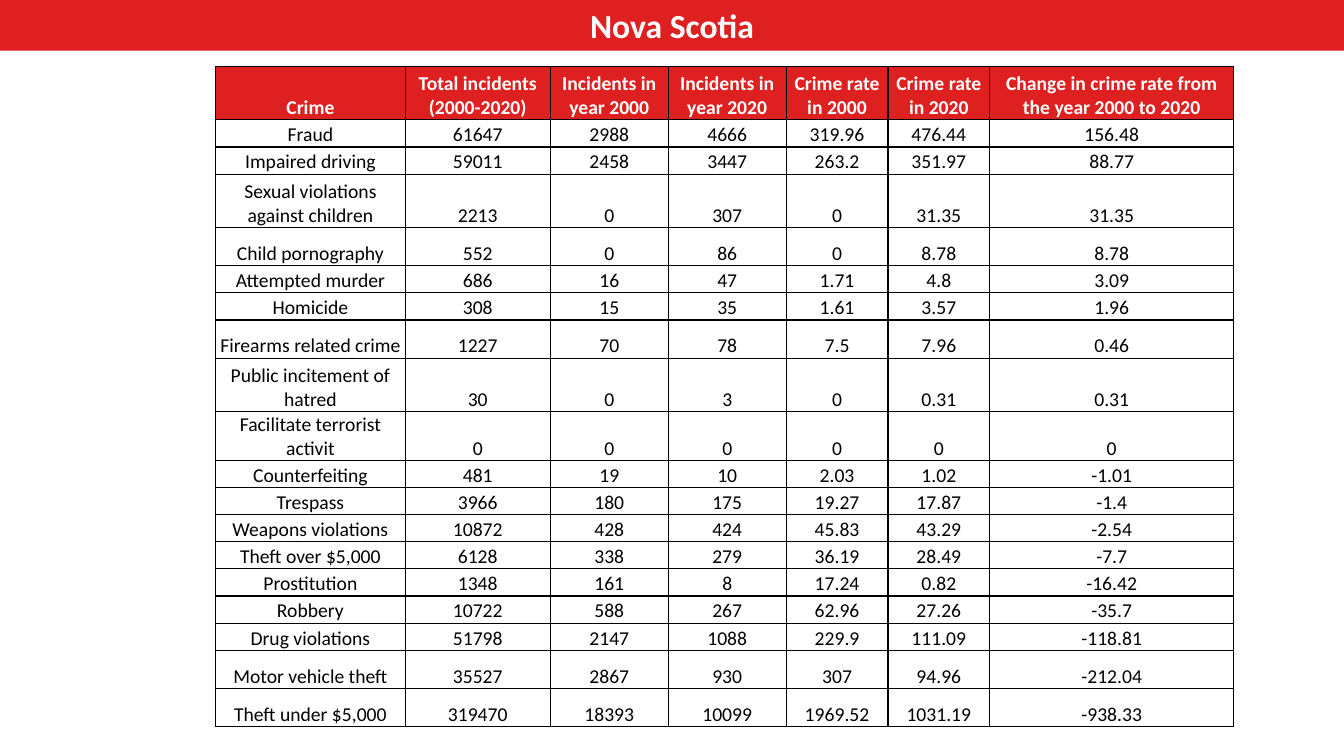
from pptx import Presentation
from pptx import util as u
from pptx.dml.color import RGBColor
from pptx.enum import text
from pptx.oxml import parse_xml
from pptx.oxml.ns import nsdecls

RED = RGBColor(0xDF, 0x20, 0x20)
WHITE = RGBColor(0xFF, 0xFF, 0xFF)
BLACK = RGBColor(0, 0, 0)
WIDE, HIGH = u.Inches(13.33), u.Inches(7.5)

# Boxes: left, top, width, height in percent of the slide
BAR = (0, 0, 100, 6.7)
GRID = (16.05, 8.8, 75.75, 86)

COLS = [1.88, 1.44, 1.17, 1.17, 1.01, 1.01, 2.42]
LOW, MID, TALL = 0.27, 0.38, 0.53
HEAD = ["Crime", "Total incidents (2000-2020)", "Incidents in year 2000",
        "Incidents in year 2020", "Crime rate in 2000", "Crime rate in 2020",
        "Change in crime rate from the year 2000 to 2020"]
# Row height share, crime, figures
CRIMES = [
    (LOW, "Fraud", "61647 2988 4666 319.96 476.44 156.48"),
    (LOW, "Impaired driving", "59011 2458 3447 263.2 351.97 88.77"),
    (TALL, "Sexual violations against children", "2213 0 307 0 31.35 31.35"),
    (MID, "Child pornography", "552 0 86 0 8.78 8.78"),
    (LOW, "Attempted murder", "686 16 47 1.71 4.8 3.09"),
    (LOW, "Homicide", "308 15 35 1.61 3.57 1.96"),
    (MID, "Firearms related crime", "1227 70 78 7.5 7.96 0.46"),
    (TALL, "Public incitement of hatred", "30 0 3 0 0.31 0.31"),
    (MID, "Facilitate terrorist activit", "0 0 0 0 0 0"),
    (LOW, "Counterfeiting", "481 19 10 2.03 1.02 -1.01"),
    (LOW, "Trespass", "3966 180 175 19.27 17.87 -1.4"),
    (LOW, "Weapons violations", "10872 428 424 45.83 43.29 -2.54"),
    (LOW, "Theft over $5,000", "6128 338 279 36.19 28.49 -7.7"),
    (LOW, "Prostitution", "1348 161 8 17.24 0.82 -16.42"),
    (LOW, "Robbery", "10722 588 267 62.96 27.26 -35.7"),
    (LOW, "Drug violations", "51798 2147 1088 229.9 111.09 -118.81"),
    (MID, "Motor vehicle theft", "35527 2867 930 307 94.96 -212.04"),
    (MID, "Theft under $5,000", "319470 18393 10099 1969.52 1031.19 -938.33"),
]


def place(box):
    """Turn a percent box into slide lengths."""
    return [int(side * part / 100)
            for side, part in zip((WIDE, HIGH, WIDE, HIGH), box)]


def put(item, **form):
    for name, value in form.items():
        setattr(item, name, value)


def write(frame, words, size, color, bold):
    """Fill a text frame with one centred paragraph."""
    par = frame.paragraphs[0]
    par.alignment = text.PP_ALIGN.CENTER
    run = par.add_run()
    run.text = words
    put(run.font, name="Calibri", size=u.Pt(size), bold=bold)
    run.font.color.rgb = color


def rule(cell):
    """Draw a black one-point line on each side of a cell."""
    props = cell._tc.get_or_add_tcPr()
    for spot, side in enumerate(("lnL", "lnR", "lnT", "lnB")):
        props.insert(spot, parse_xml(
            f'<a:{side} {nsdecls("a")} w="{u.Pt(1)}"><a:solidFill>'
            f'<a:srgbClr val="{BLACK}"/></a:solidFill></a:{side}>'))


def title(slide, box, words):
    bar = slide.shapes.title
    put(bar, **dict(zip(("left", "top", "width", "height"), place(box))))
    bar.fill.solid()
    bar.fill.fore_color.rgb = RED
    put(bar.text_frame, word_wrap=True, auto_size=text.MSO_AUTO_SIZE.NONE,
        vertical_anchor=text.MSO_ANCHOR.MIDDLE)
    write(bar.text_frame, words, 24, WHITE, True)


def table(slide, box):
    left, top, width, height = place(box)
    rows = [HEAD] + [[crime, *nums.split()] for _, crime, nums in CRIMES]
    tall = [TALL] + [share for share, _, _ in CRIMES]
    grid = slide.shapes.add_table(
        len(rows), len(COLS), left, top, width, height).table
    grid.horz_banding = False
    for col, share in zip(grid.columns, COLS):
        col.width = int(width * share / sum(COLS))
    for row, share, words in zip(grid.rows, tall, rows):
        row.height = int(height * share / sum(tall))
        head = words is HEAD
        for cell, word in zip(row.cells, words):
            edge = u.Inches(0.01)
            put(cell, margin_left=edge, margin_right=edge, margin_top=edge,
                margin_bottom=0, vertical_anchor=text.MSO_ANCHOR.BOTTOM)
            if head:
                cell.fill.solid()
                cell.fill.fore_color.rgb = RED
            else:
                cell.fill.background()
            rule(cell)
            write(cell.text_frame, word, 14, WHITE if head else BLACK, head)


def main():
    deck = Presentation()
    put(deck, slide_width=WIDE, slide_height=HIGH)
    slide = deck.slides.add_slide(deck.slide_layouts.get_by_name("Title Only"))
    title(slide, BAR, "Nova Scotia")
    table(slide, GRID)
    deck.save("out.pptx")


if __name__ == "__main__":
    main()
